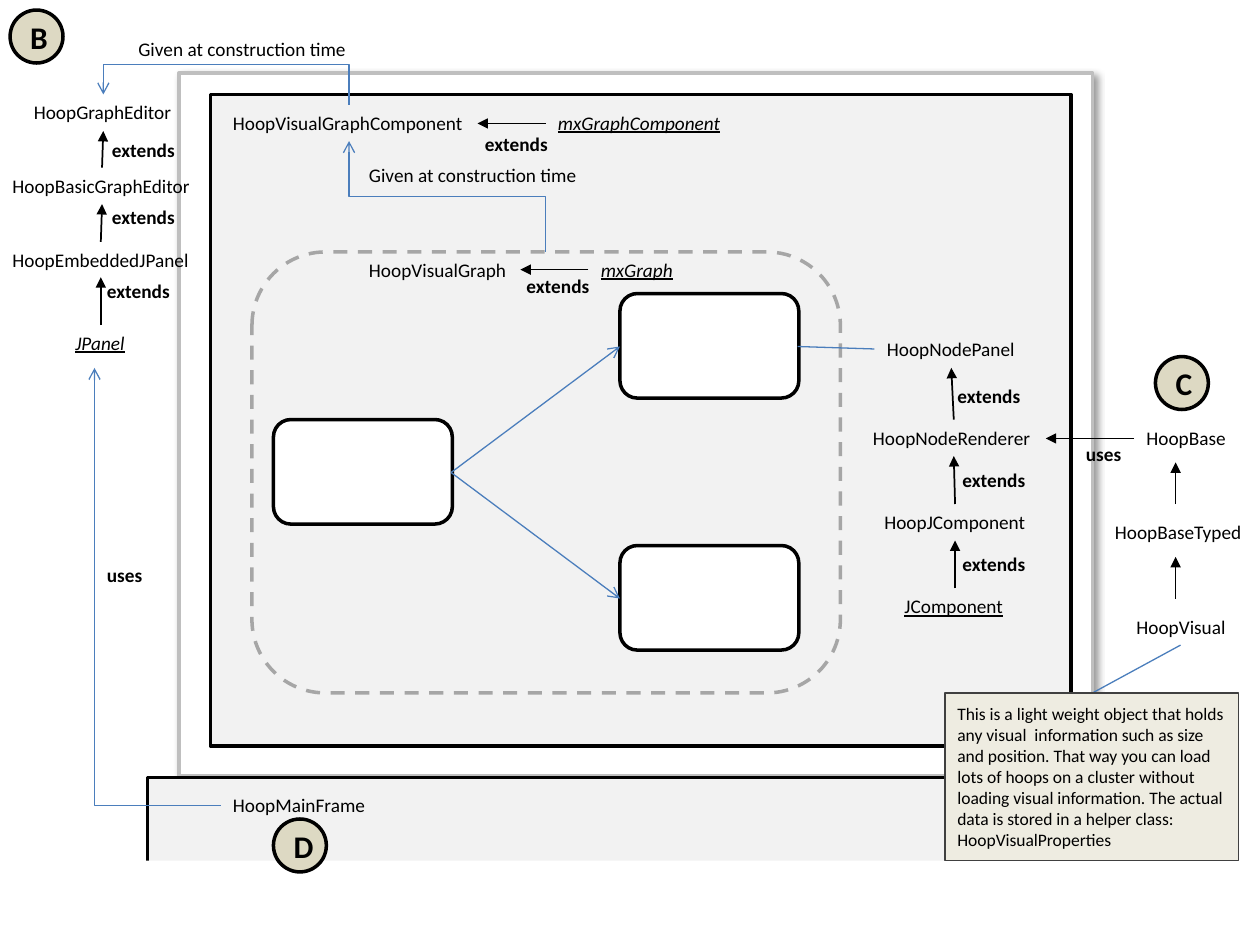
"""Draw the class diagram of the Hoop graph editor on one slide."""
from dataclasses import dataclass
from typing import Optional

from lxml.etree import SubElement
from pptx import Presentation
from pptx.dml.color import RGBColor
from pptx.enum.dml import MSO_LINE
from pptx.enum.shapes import MSO_CONNECTOR, MSO_SHAPE
from pptx.enum.text import MSO_ANCHOR, MSO_AUTO_SIZE, PP_ALIGN
from pptx.oxml.ns import qn
from pptx.util import Cm, Length, Pt


@dataclass(frozen=True)
class Theme:
    font: str = "Calibri"
    black: str = "000000"
    white: str = "FFFFFF"
    pale: str = "F2F2F2"
    edge: str = "BFBFBF"
    dash: str = "A6A6A6"
    blue: str = "4B7EBC"
    sand: str = "EEECE1"
    tan: str = "DDD9C3"
    dark: str = "404040"
    body: int = 11
    note: int = 10
    badge: int = 18
    thick: float = 2
    thin: float = 1
    hair: float = 0.75


@dataclass(frozen=True)
class Box:
    x: float
    y: float
    w: float
    h: float
    fill: Optional[str] = None
    line: Optional[str] = None
    kind: MSO_SHAPE = MSO_SHAPE.RECTANGLE
    width: float = 2
    dashed: bool = False
    shade: bool = False


@dataclass(frozen=True)
class Label:
    text: str
    x: float
    y: float
    w: float
    bold: bool = False
    slant: bool = False
    under: bool = False


@dataclass(frozen=True)
class Link:
    x1: float
    y1: float
    x2: float
    y2: float
    color: str
    width: float
    tail: Optional[str] = None


T = Theme()
ROUND = MSO_SHAPE.ROUNDED_RECTANGLE
NODES = [(2.17, 3.33), (4.92, 2.33), (4.92, 4.33)]
BOXES = [
    Box(1.42, 0.58, 7.25, 5.58, T.white, T.edge, shade=True),
    Box(1.67, 0.75, 6.83, 5.17, T.pale, T.black),
    *(Box(x, y, 1.42, 0.83, T.white, T.black, ROUND) for x, y in NODES),
    Box(2, 2, 4.67, 3.5, None, T.dash, ROUND, dashed=True),
    Box(1.17, 6.17, 7.75, 0.92, T.pale, T.black),
    Box(1, 6.83, 8.25, 0.5, T.white),
]
EXTENDS = [(3.75, 1), (4.08, 2.13), (7.5, 3), (7.54, 3.67), (7.54, 4.33),
           (0.79, 1.05), (0.79, 1.58), (0.75, 2.17)]
USES = [(8.52, 3.46), (0.75, 4.42)]
GIVEN = [(1, 0.25), (2.83, 1.25)]
LABELS = [
    Label("HoopEmbeddedJPanel", 0, 1.92, 1.61),
    Label("HoopBasicGraphEditor", 0, 1.33, 1.62),
    Label("HoopGraphEditor", 0.17, 0.75, 1.3),
    Label("HoopVisualGraphComponent", 1.75, 0.83, 2.04),
    Label("HoopVisualGraph", 2.83, 2, 1.3),
    Label("mxGraphComponent", 4.33, 0.83, 1.51, slant=True, under=True),
    Label("mxGraph", 4.67, 2, 0.78, slant=True, under=True),
    Label("JPanel", 0.5, 2.58, 0.6, slant=True, under=True),
    Label("HoopNodePanel", 6.94, 2.63, 1.22),
    Label("HoopNodeRenderer", 6.83, 3.33, 1.46),
    Label("HoopJComponent", 6.92, 4, 1.33),
    Label("JComponent", 7.08, 4.67, 0.99, under=True),
    Label("HoopBase", 9, 3.33, 0.83),
    Label("HoopBaseTyped", 8.75, 4.08, 1.22),
    Label("HoopVisual", 8.92, 4.83, 0.91),
    Label("HoopMainFrame", 1.75, 6.25, 1.26),
    *(Label("extends", x, y, 0.71, bold=True) for x, y in EXTENDS),
    *(Label("uses", x, y, 0.48, bold=True) for x, y in USES),
    *(Label("Given at construction time", x, y, 1.86) for x, y in GIVEN),
]
ARROWS = [
    (0.8, 1.92, 0.81, 1.62), (0.81, 1.33, 0.82, 1.04), (0.8, 2.58, 0.8, 2.2),
    (7.57, 3.33, 7.55, 2.92), (7.58, 4, 7.57, 3.62), (7.58, 4.67, 7.58, 4.29),
    (4.33, 0.98, 3.79, 0.98), (4.67, 2.14, 4.13, 2.14), (9, 3.48, 8.3, 3.48),
    (9.33, 4, 9.33, 3.67), (9.33, 4.75, 9.33, 4.42),
]
LINKS = [
    *(Link(*ends, T.black, T.thin, "triangle") for ends in ARROWS),
    *(Link(3.58, 3.75, 4.92, y, T.blue, T.hair, "arrow") for y in (2.75, 4.75)),
    Link(6.33, 2.75, 6.94, 2.77, T.blue, T.hair),
    Link(8.67, 5.5, 9.37, 5.12, T.blue, T.hair),
]
NOTE = ("This is a light weight object that holds any visual  information such as size "
        "and position. That way you can load lots of hoops on a cluster without loading "
        "visual information. The actual data is stored in a helper class: "
        "HoopVisualProperties")
BADGES = [("C", 9.17, 2.83), ("D", 2.17, 6.5), ("B", 0.08, 0.08)]


def inch(size: float) -> Length:
    """Turn inches into a length held in centimetres."""
    return Cm(size * 2.54)


def style(shape, size: int, bold=False, slant=False, under=False) -> None:
    """Format every run of a shape."""
    for part in shape.text_frame.paragraphs:
        for run in part.runs:
            font = run.font
            font.name, font.size = T.font, Pt(size)
            font.bold, font.italic, font.underline = bold, slant, under
            font.color.rgb = RGBColor.from_string(T.black)


def draw_box(slide, box: Box):
    """Draw a preset shape."""
    shape = slide.shapes.add_shape(box.kind, *map(inch, (box.x, box.y, box.w, box.h)))
    shape.shadow.inherit = False
    if box.fill:
        shape.fill.solid()
        shape.fill.fore_color.rgb = RGBColor.from_string(box.fill)
    else:
        shape.fill.background()
    if box.line:
        shape.line.color.rgb = RGBColor.from_string(box.line)
        shape.line.width = Pt(box.width)
    else:
        shape.line.fill.background()
    if box.dashed:
        shape.line.dash_style = MSO_LINE.DASH
    if box.shade:
        glow = SubElement(shape.element.spPr.find(qn("a:effectLst")), qn("a:outerShdw"),
                          blurRad=str(Pt(4)), dist=str(Pt(3)), dir="2700000",
                          algn="tl", rotWithShape="0")
        tint = SubElement(glow, qn("a:srgbClr"), val=T.black)
        SubElement(tint, qn("a:alpha"), val="40000")
    return shape


def draw_label(slide, label: Label) -> None:
    """Draw one line of free text."""
    shape = slide.shapes.add_textbox(*map(inch, (label.x, label.y, label.w, 0.29)))
    frame = shape.text_frame
    frame.text = label.text
    frame.word_wrap = False
    frame.auto_size = MSO_AUTO_SIZE.SHAPE_TO_FIT_TEXT
    style(shape, T.body, label.bold, label.slant, label.under)


def draw_link(slide, link: Link, kind=MSO_CONNECTOR.STRAIGHT):
    """Draw a connector with an optional arrowhead."""
    line = slide.shapes.add_connector(
        kind, *map(inch, (link.x1, link.y1, link.x2, link.y2)))
    line.line.color.rgb = RGBColor.from_string(link.color)
    line.line.width = Pt(link.width)
    if link.tail:
        SubElement(line.line._get_or_add_ln(), qn("a:tailEnd"), type=link.tail)
    SubElement(line.element.spPr, qn("a:effectLst"))
    return line


def draw_bend(slide, x1: float, y1: float, x2: float, y2: float, bend: float) -> None:
    """Draw an elbow that leaves upward, runs left and turns by a share of its height."""
    mid_x, mid_y = (x1 + x2) / 2, (y1 + y2) / 2
    half_w, half_h = (y1 - y2) / 2, (x1 - x2) / 2
    line = draw_link(slide, Link(mid_x - half_w, mid_y + half_h, mid_x + half_w,
                                 mid_y - half_h, T.blue, T.hair, "arrow"),
                     MSO_CONNECTOR.ELBOW)
    props = line.element.spPr
    props.find(qn("a:xfrm")).set("rot", "16200000")
    guides = props.find(qn("a:prstGeom")).find(qn("a:avLst"))
    SubElement(guides, qn("a:gd"), name="adj1", fmla=f"val {round(bend * 100000)}")


def draw_hook(slide, x1: float, y1: float, x2: float, y2: float) -> None:
    """Draw an elbow that runs left and then up."""
    line = draw_link(slide, Link(x2, y2, x1, y1, T.blue, T.hair, "arrow"),
                     MSO_CONNECTOR.ELBOW)
    props = line.element.spPr
    props.find(qn("a:xfrm")).set("rot", "10800000")
    props.find(qn("a:prstGeom")).set("prst", "bentConnector2")


def main() -> None:
    """Build and save the slide."""
    deck = Presentation()
    deck.slide_width, deck.slide_height = inch(10), inch(7.5)
    slide = deck.slides.add_slide(deck.slide_layouts[6])
    for box in BOXES:
        draw_box(slide, box)
    draw_bend(slide, 2.77, 0.83, 0.82, 0.75, 4)
    draw_bend(slide, 4.33, 2, 2.77, 1.12, 0.5)
    draw_hook(slide, 1.75, 6.39, 0.75, 2.92)
    for link in LINKS:
        draw_link(slide, link)
    for label in LABELS:
        draw_label(slide, label)
    note = draw_box(slide, Box(7.5, 5.5, 2.33, 1.33, T.sand, T.dark, width=T.thin))
    note.text_frame.text = NOTE
    note.text_frame.vertical_anchor = MSO_ANCHOR.MIDDLE
    note.text_frame.paragraphs[0].alignment = PP_ALIGN.LEFT
    style(note, T.note)
    for text, x, y in BADGES:
        badge = draw_box(slide, Box(x, y, 0.42, 0.42, T.tan, T.black, MSO_SHAPE.OVAL))
        badge.text_frame.text = text
        badge.text_frame.paragraphs[0].alignment = PP_ALIGN.CENTER
        style(badge, T.badge, bold=True)
    deck.save("out.pptx")


if __name__ == "__main__":
    main()
